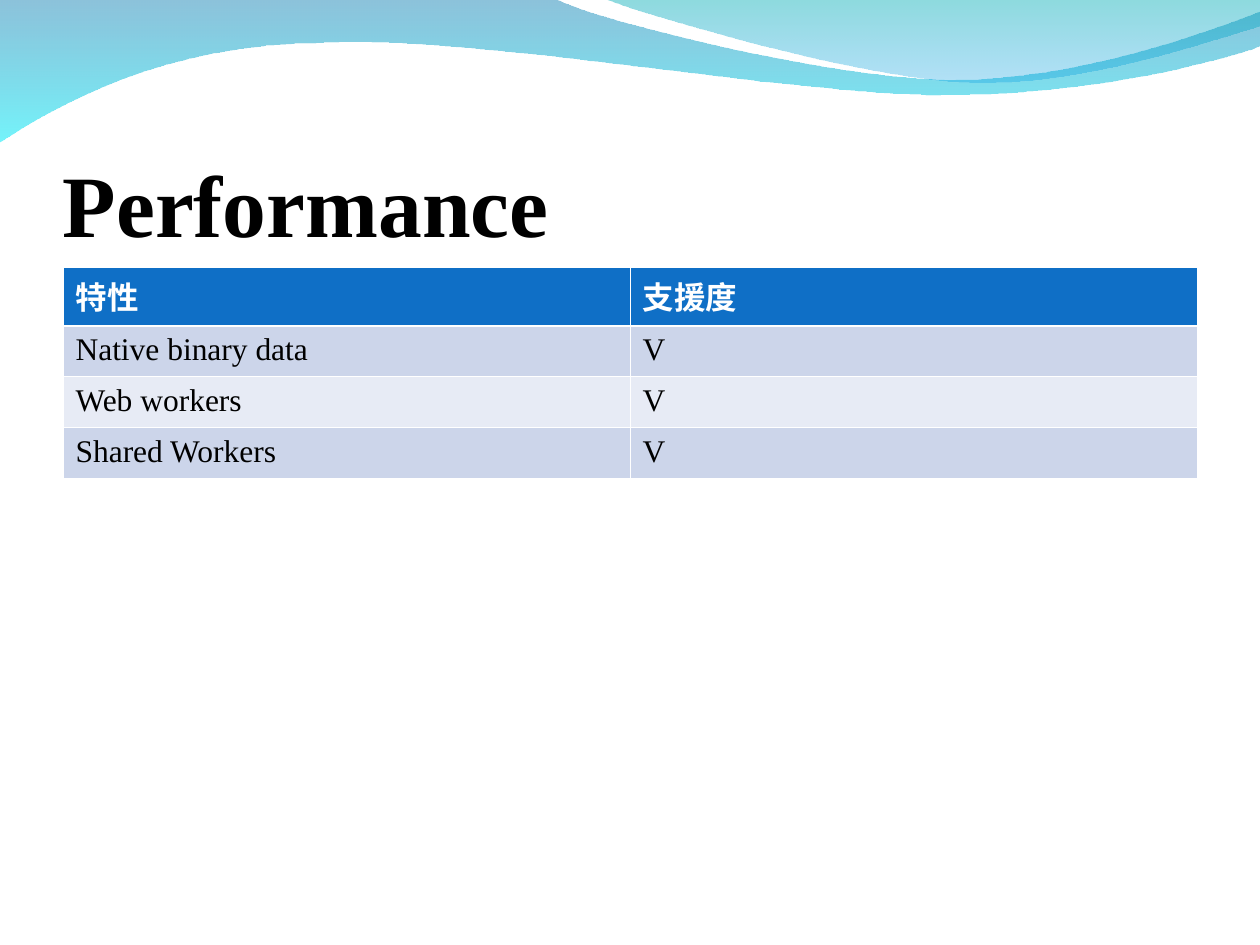
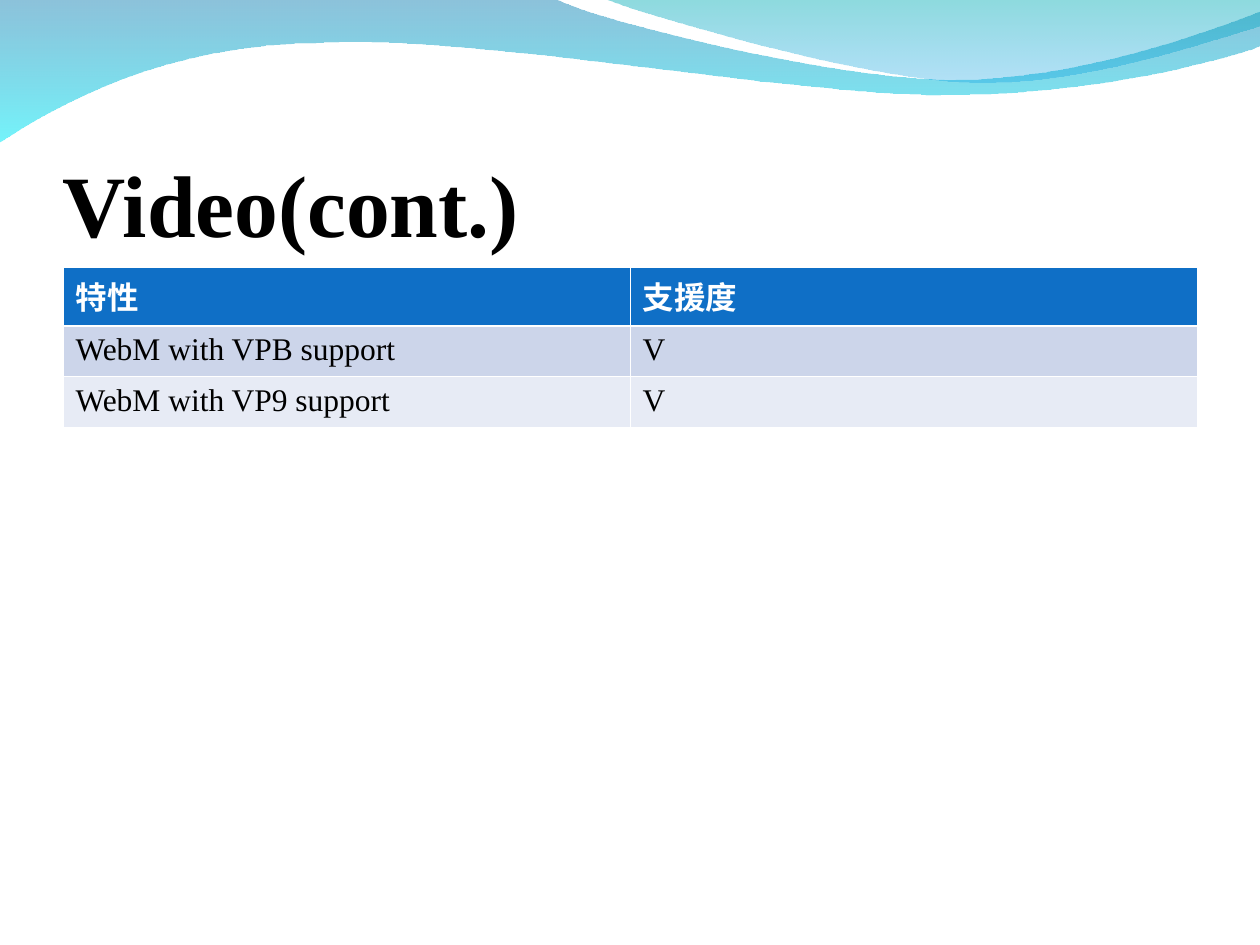
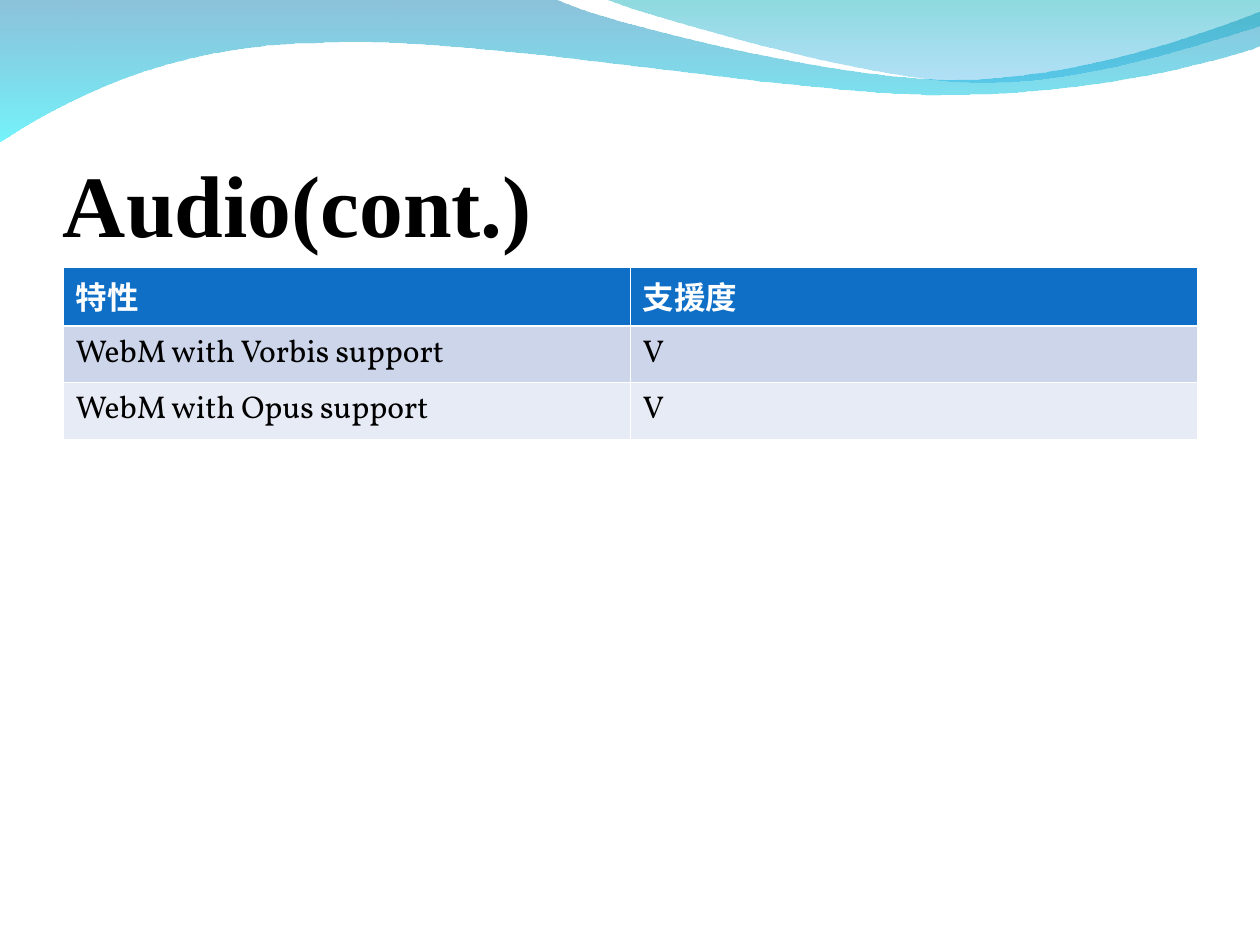
from dataclasses import dataclass

from lxml import etree
from pptx import Presentation, util as u
from pptx.dml.color import RGBColor
from pptx.enum import text
from pptx.oxml import ns

HEADINGS = ("特性", "支援度")
SUPPORTED = "V"
# row_share is the height of a body row as a share of the slide's height.
PAGES = [
    {"title": "Performance", "font": "Times New Roman", "row_share": 0.054,
     "features": ["Native binary data", "Web workers", "Shared Workers"]},
    {"title": "Video(cont.)", "font": "Times New Roman", "row_share": 0.054,
     "features": ["WebM with VPB support", "WebM with VP9 support"]},
    {"title": "Audio(cont.)", "font": "Vollkorn", "row_share": 0.06,
     "features": ["WebM with Vorbis support", "WebM with Opus support"]},
]

# Each wave: start point, then corners (one point) or Bézier curves (three points), in inches.
# Gradient stops run from top to bottom: colour, opacity in percent.
WAVES = [
    {"start": (0, -0.01),
     "steps": [[(4.4, -0.01)],
               [(4.76, 0.17), (6.64, 0.63), (7.58, 0.63)],
               [(8.53, 0.63), (9.58, 0.26), (10, 0.09)],
               [(10.01, 0.36)],
               [(9.83, 0.44), (8.7, 0.76), (7.46, 0.75)],
               [(6.22, 0.75), (3.82, 0.28), (2.57, 0.34)],
               [(1.29, 0.35), (0.46, 0.83), (-0.01, 1.13)]],
     "stops": [("0079AF", 45), ("00EBF8", 55)]},
    {"start": (4.79, -0.01),
     "steps": [[(5.09, 0.11), (6.82, 0.62), (7.69, 0.65)],
               [(8.56, 0.69), (9.61, 0.32), (10, 0.21)],
               [(10, 0)]],
     "stops": [("00ADB6", 45), ("009BE5", 30)]},
]


@dataclass(frozen=True)
class Theme:
    width: float = 10
    height: float = 7.5
    margin: float = 0.5
    title_top: float = 0.77
    title_height: float = 1.25
    table_top: float = 2.12
    heading_share: float = 0.062
    title_size: int = 50
    body_size: int = 18
    title_font: str = "Times New Roman"
    heading_font: str = "Noto Sans CJK SC"
    ink: str = "000000"
    paper: str = "FFFFFF"
    heading_fill: str = "0F6FC6"
    bands: tuple = ("CCD5EA", "E7EBF5")
    thin: float = 0.45
    thick: float = 1.47


THEME = Theme()


def write(paragraph, words, font, size, color, bold):
    span = paragraph.add_run()
    span.text = words
    for name, value in {"name": font, "size": u.Pt(size), "bold": bold}.items():
        setattr(span.font, name, value)
    span.font.color.rgb = RGBColor.from_string(color)
    east_asian = etree.SubElement(span.font._element, ns.qn("a:ea"))
    east_asian.set("typeface", font)


def bend(shape, steps):
    """Turn each run of three straight segments that stands for a curve into one Bézier."""
    segments = iter(list(shape._element.iter(ns.qn("a:lnTo"))))
    for step in steps:
        lines = [next(segments) for _ in step]
        if len(lines) == 3:
            curve = etree.Element(ns.qn("a:cubicBezTo"))
            lines[0].addprevious(curve)
            for line in lines:
                curve.append(line[0])
                line.getparent().remove(line)


def add_wave(page, wave):
    builder = page.shapes.build_freeform(*map(u.Inches, wave["start"]))
    builder.add_line_segments([(u.Inches(x), u.Inches(y))
                               for step in wave["steps"] for x, y in step], close=True)
    shape = builder.convert_to_shape()
    bend(shape, wave["steps"])
    shape.shadow.inherit = False
    shape.line.fill.background()
    shape.fill.gradient()
    shape.fill.gradient_angle = 270
    for stop, position, (color, opacity) in zip(shape.fill.gradient_stops, (0, 1), wave["stops"]):
        stop.position = position
        stop.color.rgb = RGBColor.from_string(color)
        rgb = stop._element.find(ns.qn("a:srgbClr"))
        etree.SubElement(rgb, ns.qn("a:alpha")).set("val", str(opacity * 1000))


def add_title(page, words):
    box = page.shapes.add_textbox(
        *map(u.Inches, (THEME.margin, THEME.title_top,
                        THEME.width - 2 * THEME.margin, THEME.title_height)))
    settings = {"word_wrap": True, "vertical_anchor": text.MSO_ANCHOR.BOTTOM,
                "margin_left": 0, "margin_right": 0,
                "margin_top": u.Inches(0.05), "margin_bottom": 0}
    for name, value in settings.items():
        setattr(box.text_frame, name, value)
    write(box.text_frame.paragraphs[0], words, THEME.title_font, THEME.title_size,
          THEME.ink, True)


def set_borders(cell, top, bottom):
    widths = {"a:lnL": THEME.thin, "a:lnR": THEME.thin, "a:lnT": top, "a:lnB": bottom}
    properties = cell._tc.get_or_add_tcPr()
    for position, (tag, width) in enumerate(widths.items()):
        line = etree.Element(ns.qn(tag), w=str(u.Pt(width)))
        fill = etree.SubElement(line, ns.qn("a:solidFill"))
        etree.SubElement(fill, ns.qn("a:srgbClr")).set("val", THEME.paper)
        properties.insert(position, line)


def add_feature_table(page, features, font, row_share):
    rows = [HEADINGS] + [(feature, SUPPORTED) for feature in features]
    heights = [THEME.height * share
               for share in [THEME.heading_share] + [row_share] * len(features)]
    table = page.shapes.add_table(
        len(rows), len(HEADINGS),
        *map(u.Inches, (THEME.margin, THEME.table_top,
                        THEME.width - 2 * THEME.margin, sum(heights)))).table
    for r, row in enumerate(rows):
        table.rows[r].height = u.Inches(heights[r])
        heading = r == 0
        fill = THEME.heading_fill if heading else THEME.bands[(r - 1) % 2]
        style = ((THEME.heading_font, THEME.body_size, THEME.paper, True) if heading
                 else (font, THEME.body_size, THEME.ink, False))
        for c, words in enumerate(row):
            cell = table.cell(r, c)
            cell.fill.solid()
            cell.fill.fore_color.rgb = RGBColor.from_string(fill)
            set_borders(cell, top=THEME.thick if r == 1 else THEME.thin,
                        bottom=THEME.thick if heading else THEME.thin)
            write(cell.text_frame.paragraphs[0], words, *style)


def main():
    deck = Presentation()
    deck.slide_width, deck.slide_height = u.Inches(THEME.width), u.Inches(THEME.height)
    for content in PAGES:
        page = deck.slides.add_slide(deck.slide_layouts[6])
        for wave in WAVES:
            add_wave(page, wave)
        add_title(page, content["title"])
        add_feature_table(page, content["features"], content["font"], content["row_share"])
    deck.save("out.pptx")


if __name__ == "__main__":
    main()
